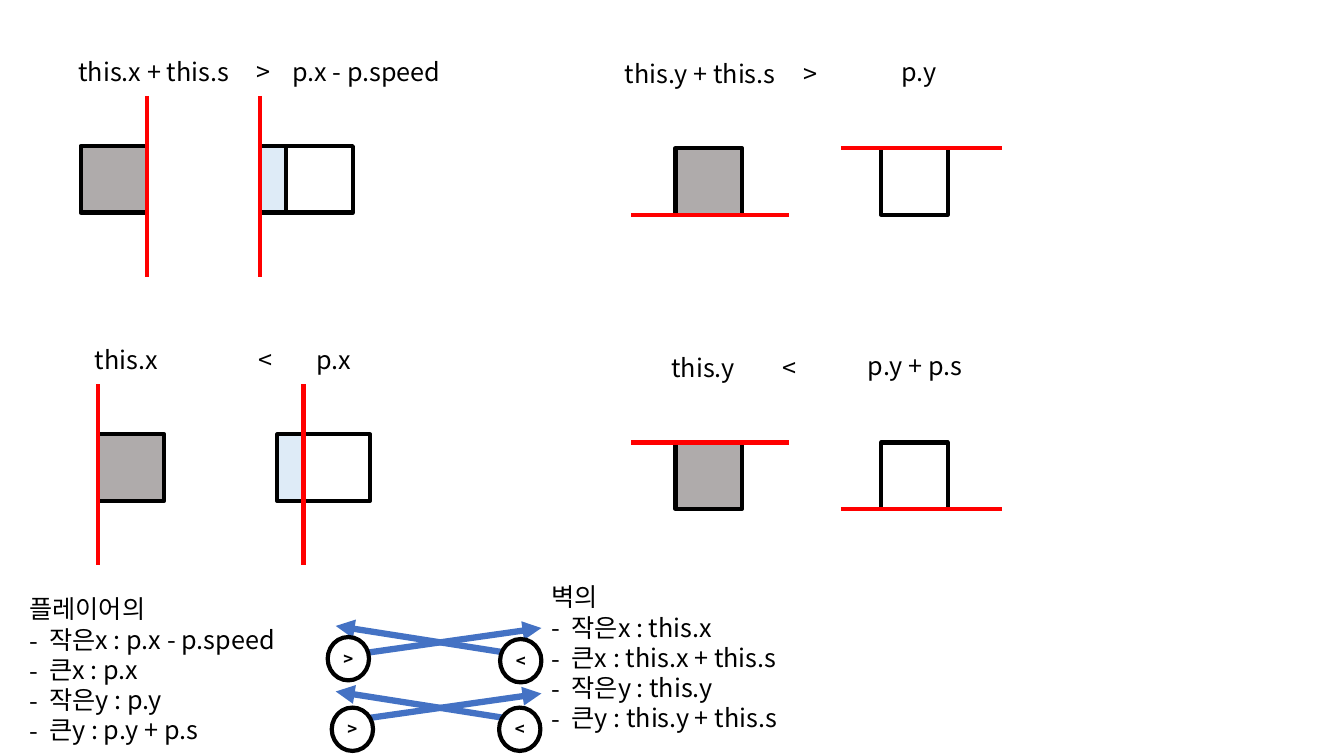
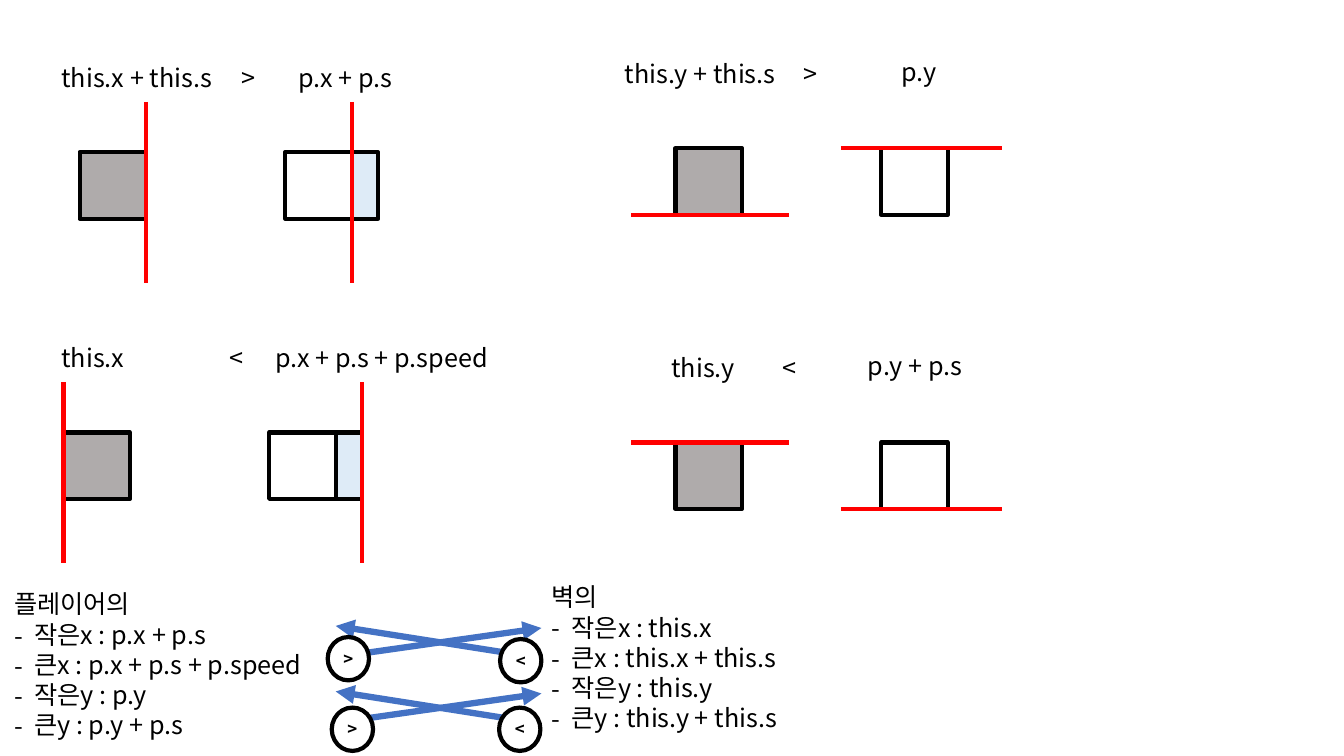
from dataclasses import dataclass

from lxml import etree
from pptx import Presentation
from pptx import util as u
from pptx.dml import color as dml
from pptx.enum import shapes as kinds
from pptx.enum import text as txt
from pptx.oxml import ns


@dataclass(frozen=True)
class Theme:
    """Colours, type sizes and measures shared by both slides."""

    font: str = "Noto Sans CJK KR"
    ink: str = "000000"
    paper: str = "FFFFFF"
    wall: str = "AFABAB"
    speed: str = "DEEBF7"
    edge: str = "FF0000"
    arrow: str = "4472C4"
    body: int = 18
    sign: int = 12
    outline: float = 3
    arrow_width: float = 4.5
    block: float = 0.66
    strip: float = 0.26
    reach: float = 2.04
    label_height: float = 0.4


THEME = Theme()
WALL_RULES = ["벽의", "작은x : this.x", "큰x : this.x + this.s",
              "작은y : this.y", "큰y : this.y + this.s"]


def rgb(value):
    """Turn a hex string into a colour."""
    return dml.RGBColor.from_string(value)


def inches(*lengths):
    """Turn plain numbers into lengths."""
    return [u.Inches(length) for length in lengths]


def write(paragraph, content, size=THEME.body, bold=False, align=None):
    """Add formatted text to a paragraph."""
    run = paragraph.add_run()
    run.text = content
    run.font.size = u.Pt(size)
    run.font.bold = bold
    run.font.color.rgb = rgb(THEME.ink)
    run.font.name = THEME.font
    etree.SubElement(run._r.get_or_add_rPr(), ns.qn("a:ea"), typeface=THEME.font)
    paragraph.alignment = align


def add_label(slide, content, left, top, width):
    """Place a one-line label."""
    label = slide.shapes.add_textbox(*inches(left, top, width, THEME.label_height))
    label.text_frame.word_wrap = False
    label.text_frame.auto_size = txt.MSO_AUTO_SIZE.SHAPE_TO_FIT_TEXT
    write(label.text_frame.paragraphs[0], content)


def add_outlined(slide, kind, box, fill):
    """Place a filled shape with the thick black outline."""
    shape = slide.shapes.add_shape(kind, *inches(*box))
    shape.shadow.inherit = False
    shape.fill.solid()
    shape.fill.fore_color.rgb = rgb(fill)
    shape.line.color.rgb = rgb(THEME.ink)
    shape.line.width = u.Pt(THEME.outline)
    return shape


def add_block(slide, left, top, fill, width=THEME.block):
    """Place a wall, player or speed block."""
    box = (left, top, width, THEME.block)
    add_outlined(slide, kinds.MSO_SHAPE.RECTANGLE, box, fill)


def add_line(slide, start, end, stroke=THEME.edge, width=THEME.outline, arrows=False):
    """Place a straight line, with arrowheads at both ends on request."""
    line = slide.shapes.add_connector(
        kinds.MSO_CONNECTOR.STRAIGHT, *inches(*start, *end))
    line.line.color.rgb = rgb(stroke)
    line.line.width = u.Pt(width)
    if arrows:
        for tip in ("a:headEnd", "a:tailEnd"):
            etree.SubElement(line.line._get_or_add_ln(), ns.qn(tip), type="triangle")
    etree.SubElement(line._element.spPr, ns.qn("a:effectLst"))


def add_rules(placeholder, rules, left, top, width):
    """Fill a body placeholder with a heading and dashed rules."""
    placeholder.left, placeholder.top, placeholder.width, placeholder.height = inches(
        left, top, width, 1.62)
    frame = placeholder.text_frame
    frame.word_wrap = False
    frame.auto_size = txt.MSO_AUTO_SIZE.NONE
    for index, rule in enumerate(rules):
        paragraph = frame.add_paragraph() if index else frame.paragraphs[0]
        write(paragraph, rule)
        paragraph.space_before = u.Pt(0)
        paragraph.line_spacing = 1.0
        props = paragraph._p.get_or_add_pPr()
        indent = u.Inches(0.2) if index else 0
        props.set("marL", str(indent))
        props.set("indent", str(-indent))
        if index:
            etree.SubElement(props, ns.qn("a:buFont"), typeface=THEME.font)
            etree.SubElement(props, ns.qn("a:buChar"), char="-")
        else:
            etree.SubElement(props, ns.qn("a:buNone"))


def add_x_test(slide, left, top, wall_edge, player_edge, strip_offset, labels):
    """Compare a wall and a player edge along x, from the wall's corner."""
    player = left + THEME.reach
    add_block(slide, left, top, THEME.wall)
    add_block(slide, player, top, THEME.paper)
    add_block(slide, player + strip_offset, top, THEME.speed, THEME.strip)
    for edge in (left + wall_edge, player + player_edge):
        add_line(slide, (edge, top - 0.5), (edge, top + 1.3))
    for content, offset, width in labels:
        add_label(slide, content, left + offset, top - 0.94, width)


def add_y_test(slide, left, top, wall_edge, player_edge, labels):
    """Compare a wall and a player edge along y, from the wall's corner."""
    player = left + THEME.reach
    add_block(slide, left, top, THEME.wall)
    add_block(slide, player, top, THEME.paper)
    add_line(slide, (left - 0.44, top + wall_edge), (left + 1.13, top + wall_edge))
    add_line(slide, (player - 0.4, top + player_edge), (player + 1.2, top + player_edge))
    for (content, offset, width), rise in zip(labels, (0.94, 0.94, 0.96)):
        add_label(slide, content, left + offset, top - rise, width)


def add_crossing(slide, left, top, signs):
    """Cross two arrows and put a comparison sign at each lower end."""
    for start, end in ((0, 0.32), (0.31, 0.02)):
        add_line(slide, (left, top + start), (left + 2.04, top + end),
                 stroke=THEME.arrow, width=THEME.arrow_width, arrows=True)
    for sign, across, down in signs:
        badge = add_outlined(slide, kinds.MSO_SHAPE.OVAL,
                             (left + across, top + down, 0.41, 0.43), THEME.paper)
        frame = badge.text_frame
        frame.margin_left = frame.margin_right = 0
        frame.margin_top = frame.margin_bottom = 0
        frame.vertical_anchor = txt.MSO_ANCHOR.MIDDLE
        write(frame.paragraphs[0], sign, size=THEME.sign, bold=True,
              align=txt.PP_ALIGN.CENTER)


def add_collision_slide(deck, x_tests, player_rules, rules_at):
    """Build a slide of x tests, the common y tests and the two rule lists."""
    slide = deck.slides.add_slide(deck.slide_layouts.get_by_name("Two Content"))
    title = slide.shapes.title._element
    title.getparent().remove(title)
    _, player, wall = (None, *slide.placeholders)
    add_rules(player, player_rules, *rules_at)
    add_rules(wall, WALL_RULES, 5.37, 5.72, 2.66)
    for x_test in x_tests:
        add_x_test(slide, **x_test)
    add_y_test(slide, 6.7, 1.47, THEME.block, 0, [
        ("this.y + this.s", -0.6, 1.9), (">", 1.17, 0.36), ("p.y", 2.14, 0.6)])
    add_y_test(slide, 6.7, 4.39, 0, THEME.block, [
        ("this.y", -0.14, 0.92), ("<", 0.96, 0.36), ("p.y + p.s", 1.81, 1.24)])
    add_crossing(slide, 3.33, 6.21, [("<", 1.63, 0.13), (">", -0.08, 0.11)])
    add_crossing(slide, 3.33, 6.86, [("<", 1.62, 0.16), (">", -0.04, 0.16)])


def main():
    """Build both collision slides and save them."""
    deck = Presentation()
    deck.slide_width, deck.slide_height = inches(13.33, 7.5)
    block, strip = THEME.block, THEME.strip
    moving_left = [
        dict(left=0.8, top=1.45, wall_edge=block, player_edge=-strip,
             strip_offset=-strip,
             labels=[("this.x + this.s", -0.12, 1.88), (">", 1.65, 0.36),
                     ("p.x - p.speed", 2.0, 1.88)]),
        dict(left=0.97, top=4.31, wall_edge=0, player_edge=0, strip_offset=-strip,
             labels=[("this.x", -0.13, 0.91), ("<", 1.5, 0.36), ("p.x", 2.07, 0.58)]),
    ]
    moving_right = [
        dict(left=0.79, top=1.51, wall_edge=block, player_edge=block,
             strip_offset=block,
             labels=[("this.x + this.s", -0.28, 1.88), (">", 1.51, 0.36),
                     ("p.x + p.s", 2.07, 1.23)]),
        dict(left=0.63, top=4.29, wall_edge=0, player_edge=block + strip,
             strip_offset=block,
             labels=[("this.x", -0.12, 0.91), ("<", 1.55, 0.36),
                     ("p.x + p.s + p.speed", 2.0, 2.54)]),
    ]
    add_collision_slide(deck, moving_left, [
        "플레이어의", "작은x : p.x - p.speed", "큰x : p.x",
        "작은y : p.y", "큰y : p.y + p.s"], (0.19, 5.84, 2.85))
    add_collision_slide(deck, moving_right, [
        "플레이어의", "작은x : p.x + p.s", "큰x : p.x + p.s + p.speed",
        "작은y : p.y", "큰y : p.y + p.s"], (0.04, 5.79, 3.28))
    deck.save("out.pptx")


if __name__ == "__main__":
    main()
